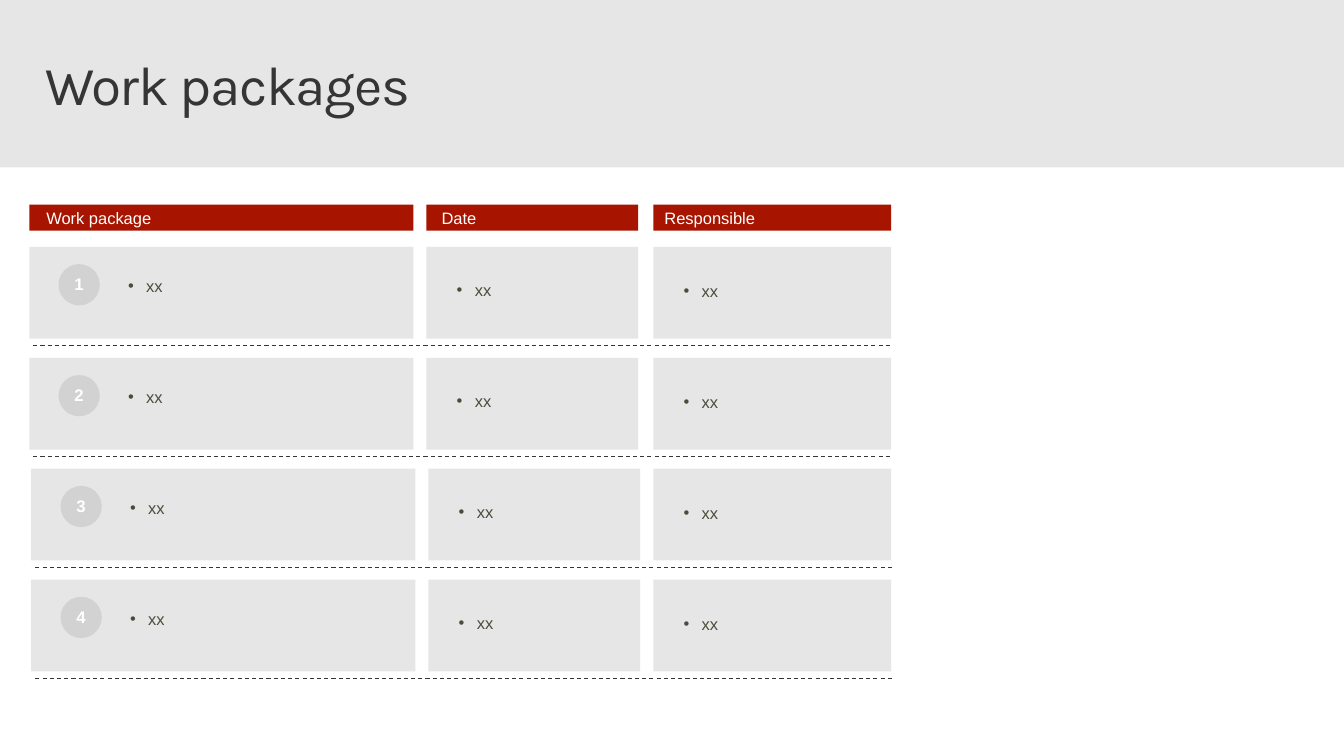
from collections import namedtuple
from lxml.etree import SubElement
from pptx import Presentation
from pptx.dml.color import RGBColor
from pptx.enum.dml import MSO_LINE_DASH_STYLE as Dash
from pptx.enum.shapes import MSO_CONNECTOR as Connector, MSO_SHAPE as Shape
from pptx.enum.text import MSO_ANCHOR as Anchor, PP_ALIGN as Align
from pptx.oxml.ns import qn
from pptx.util import Inches, Pt

WHITE = RGBColor(0xFF, 0xFF, 0xFF)
GREY = RGBColor(0xE6, 0xE6, 0xE6)
BADGE_GREY = RGBColor(0xD2, 0xD2, 0xD2)
CHARCOAL = RGBColor(0x35, 0x35, 0x35)
OLIVE = RGBColor(0x4B, 0x4D, 0x3B)
RED = RGBColor(0xA7, 0x14, 0x00)

WIDTH, HEIGHT = 13.33, 7.5
BAND_HEIGHT = 1.66
HEADER_TOP, HEADER_HEIGHT = 2.03, 0.26
ROW_TOP, ROW_PITCH, ROW_HEIGHT = 2.45, 1.1, 0.91
TEXT_HEIGHT = 0.2
LOWER_SHIFT = 0.02  # the lower two rows sit slightly further right

# heading_x, entry_x and entry_y are measured from the cell's corner
Column = namedtuple("Column", "heading left width heading_x entry_x entry_y entry_width shifts")
COLUMNS = [
    Column("Work package", 0.29, 3.81, 0.17, 0.98, 0.29, 2.62, True),
    Column("Date", 4.23, 2.1, 0.15, 0.3, 0.33, 4.06, True),
    Column("Responsible", 6.48, 2.36, 0.11, 0.3, 0.34, 1.75, False),
]
PACKAGES = [("xx", "xx", "xx")] * 4


def add_block(parent, left, top, width, height, color, kind=Shape.RECTANGLE):
    block = parent.add_shape(kind, Inches(left), Inches(top), Inches(width), Inches(height))
    block.shadow.inherit = False
    block.fill.solid()
    block.fill.fore_color.rgb = color
    block.line.fill.background()


def add_label(parent, text, left, top, width, height, color, size=11.8,
              font="Arial", bold=False, align=Align.LEFT, inset=(0, 0), anchor=Anchor.TOP):
    label = parent.add_textbox(Inches(left), Inches(top), Inches(width), Inches(height))
    frame = label.text_frame
    frame.word_wrap = True
    frame.vertical_anchor = anchor
    frame.margin_left = frame.margin_right = Inches(inset[0])
    frame.margin_top = frame.margin_bottom = Inches(inset[1])
    frame.text = text
    paragraph = frame.paragraphs[0]
    paragraph.alignment = align
    style = paragraph.runs[0].font
    style.name, style.size, style.bold = font, Pt(size), bold
    style.color.rgb = color
    return paragraph


def add_bullet(paragraph, indent=0.18):
    properties = paragraph._p.get_or_add_pPr()
    properties.set("marL", str(Inches(indent)))
    properties.set("indent", str(-Inches(indent)))
    SubElement(properties, qn("a:buFont")).set("typeface", "Arial")
    SubElement(properties, qn("a:buChar")).set("char", "•")


def add_separator(shapes, left, right, y):
    rule = shapes.add_connector(Connector.STRAIGHT, Inches(left), Inches(y), Inches(right), Inches(y))
    rule.line.color.rgb = CHARCOAL
    rule.line.width = Pt(0.75)
    rule.line.dash_style = Dash.DASH
    SubElement(rule._element.spPr, qn("a:effectLst"))


def add_badge(shapes, number, left, top):
    badge = shapes.add_group_shape().shapes
    add_block(badge, left, top, 0.41, 0.41, BADGE_GREY, Shape.OVAL)
    add_label(badge, str(number), left, top + 0.05, 0.41, 0.3, WHITE, size=12,
              bold=True, align=Align.CENTER, inset=(0.1, 0.05))


def add_heading(shapes, column):
    add_block(shapes, column.left, HEADER_TOP, column.width, HEADER_HEIGHT, RED)
    add_label(shapes, column.heading, column.left + column.heading_x, HEADER_TOP + 0.03,
              column.width - column.heading_x, TEXT_HEIGHT, WHITE)


def add_package(shapes, row, entries):
    top = ROW_TOP + row * ROW_PITCH
    shift = LOWER_SHIFT if row >= 2 else 0
    for column, entry in zip(COLUMNS, entries):
        left = column.left + (shift if column.shifts else 0)
        add_block(shapes, left, top, column.width, ROW_HEIGHT, GREY)
        add_bullet(add_label(shapes, entry, left + column.entry_x, top + column.entry_y,
                             column.entry_width, TEXT_HEIGHT, OLIVE))
    add_badge(shapes, row + 1, 0.58 + shift, top + 0.17)
    add_separator(shapes, 0.33 + shift, 8.83 + shift, top + 0.98)


def main():
    deck = Presentation()
    deck.slide_width, deck.slide_height = Inches(WIDTH), Inches(HEIGHT)
    slide = deck.slides.add_slide(deck.slide_layouts[6])
    shapes = slide.shapes

    # Grey title band above a white content area
    slide.background.fill.solid()
    slide.background.fill.fore_color.rgb = GREY
    add_block(shapes, 0, BAND_HEIGHT, WIDTH, HEIGHT - BAND_HEIGHT, WHITE)
    title = add_label(shapes, "Work packages", 0.29, 0.48, 12.64, 0.79, CHARCOAL, size=39.2,
                      font="Karla", inset=(0.16, 0.1), anchor=Anchor.MIDDLE)
    title.line_spacing = 0.9
    title.runs[0].font._element.set("spc", "-100")

    # Column headings and one row per work package
    for column in COLUMNS:
        add_heading(shapes, column)
    for row, entries in enumerate(PACKAGES):
        add_package(shapes, row, entries)

    deck.save("out.pptx")


main()
